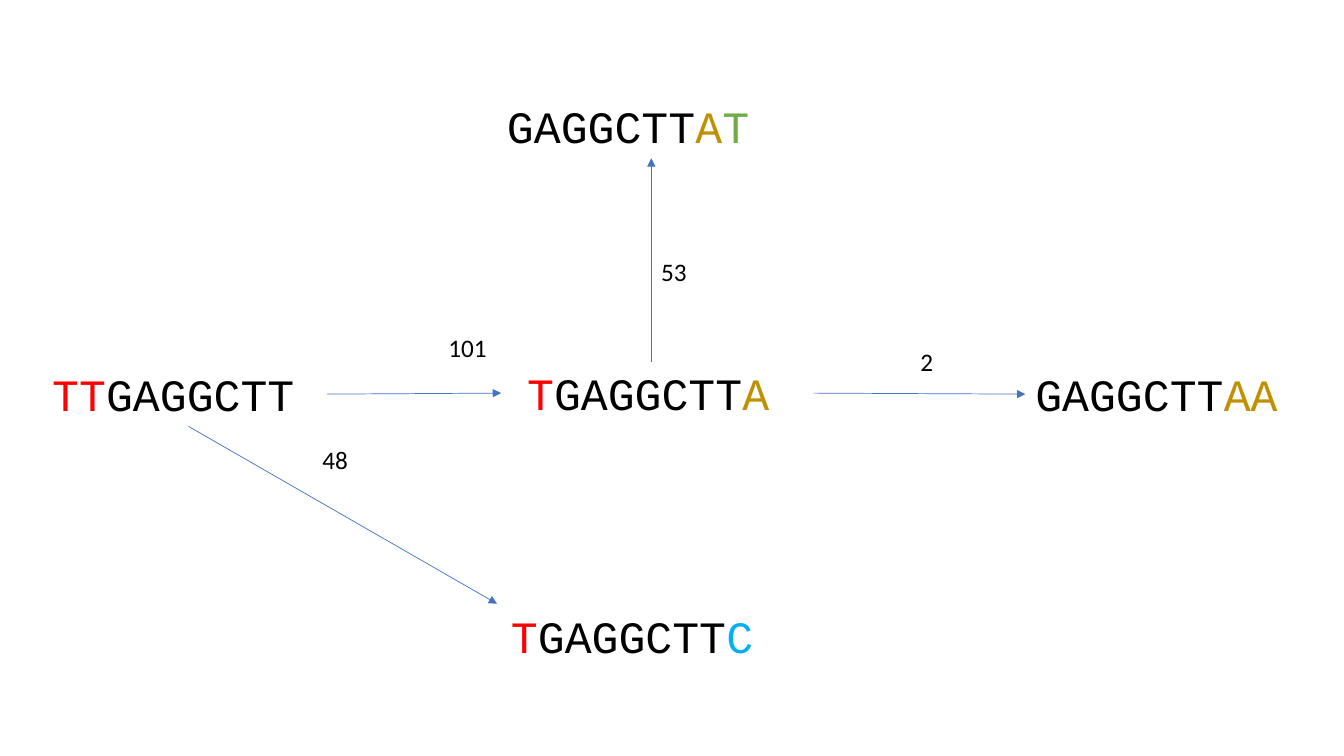
from dataclasses import dataclass

from lxml import etree
from pptx import Presentation
from pptx.dml.color import RGBColor
from pptx.enum.shapes import MSO_CONNECTOR
from pptx.enum.text import MSO_AUTO_SIZE
from pptx.oxml.ns import qn
from pptx.util import Inches, Pt

STRAIGHT = MSO_CONNECTOR.STRAIGHT
FIT_SHAPE = MSO_AUTO_SIZE.SHAPE_TO_FIT_TEXT
BOTTOM, LEFT, RIGHT = 2, 1, 3


@dataclass(frozen=True)
class Theme:
    black: str = "000000"
    red: str = "FF0000"
    gold: str = "BF9000"
    green: str = "70AD47"
    cyan: str = "00B0F0"
    arrow: str = "4472C4"
    sequence_font: str = "Courier New"
    count_font: str = "Calibri"
    sequence_size: float = 32
    count_size: float = 18
    arrow_width: float = 0.5


class GraphPage:
    """Draws sequences, counts and arrows on one slide in one theme."""

    def __init__(self, page, theme):
        self.page = page
        self.theme = theme

    def text(self, left, top, width, height, spans, font, size, wrap):
        box = self.page.shapes.add_textbox(
            Inches(left), Inches(top), Inches(width), Inches(height))
        box.text_frame.word_wrap = wrap
        box.text_frame.auto_size = FIT_SHAPE
        para = box.text_frame.paragraphs[0]
        for content, colour in spans:
            span = para.add_run()
            span.text = content
            span.font.name = font
            span.font.size = Pt(size)
            span.font.color.rgb = RGBColor.from_string(colour)
        return box

    def sequence(self, left, top, width, *spans):
        return self.text(left, top, width, 0.64, spans,
                         self.theme.sequence_font, self.theme.sequence_size, False)

    def count(self, left, top, width, number):
        spans = [(number, self.theme.black)]
        return self.text(left, top, width, 0.4, spans,
                         self.theme.count_font, self.theme.count_size, True)

    def arrow(self, start, end, begin_joint=None, end_joint=None):
        connector = self.page.shapes.add_connector(
            STRAIGHT, *(Inches(length) for length in (*start, *end)))
        if begin_joint:
            connector.begin_connect(*begin_joint)
        if end_joint:
            connector.end_connect(*end_joint)
        connector.line.color.rgb = RGBColor.from_string(self.theme.arrow)
        connector.line.width = Pt(self.theme.arrow_width)
        line = connector.line._get_or_add_ln()
        etree.SubElement(line, qn("a:tailEnd"), type="triangle")
        etree.SubElement(connector._element.spPr, qn("a:effectLst"))


def main():
    deck = Presentation()
    deck.slide_width, deck.slide_height = Inches(13.33), Inches(7.5)
    theme = Theme()
    graph = GraphPage(deck.slides.add_slide(deck.slide_layouts[6]), theme)

    shared = ("GAGGCTT", theme.black)
    red_t = ("T", theme.red)
    gold_a = ("A", theme.gold)

    centre = graph.sequence(5.13, 3.58, 2.94, red_t, shared, gold_a)
    origin = graph.sequence(0.42, 3.59, 2.9, ("TT", theme.red), shared)
    right = graph.sequence(10.17, 3.59, 3.01, shared, ("AA", theme.gold))
    graph.sequence(4.97, 5.99, 2.9, red_t, shared, ("C", theme.cyan))
    graph.sequence(4.93, 0.93, 2.92, shared, gold_a, ("T", theme.green))

    graph.arrow((3.24, 3.91), (4.97, 3.9))
    graph.arrow((8.06, 3.9), (10.17, 3.91), (centre, RIGHT), (right, LEFT))
    graph.arrow((1.87, 4.23), (4.93, 5.99), (origin, BOTTOM))
    graph.arrow((6.46, 3.59), (6.46, 1.57))

    for left, top, width, number in (
        (4.35, 3.25, 0.7, "101"),
        (3.1, 4.36, 0.62, "48"),
        (6.46, 2.49, 0.86, "53"),
        (9.03, 3.39, 0.62, "2"),
    ):
        graph.count(left, top, width, number)

    deck.save("out.pptx")


if __name__ == "__main__":
    main()
